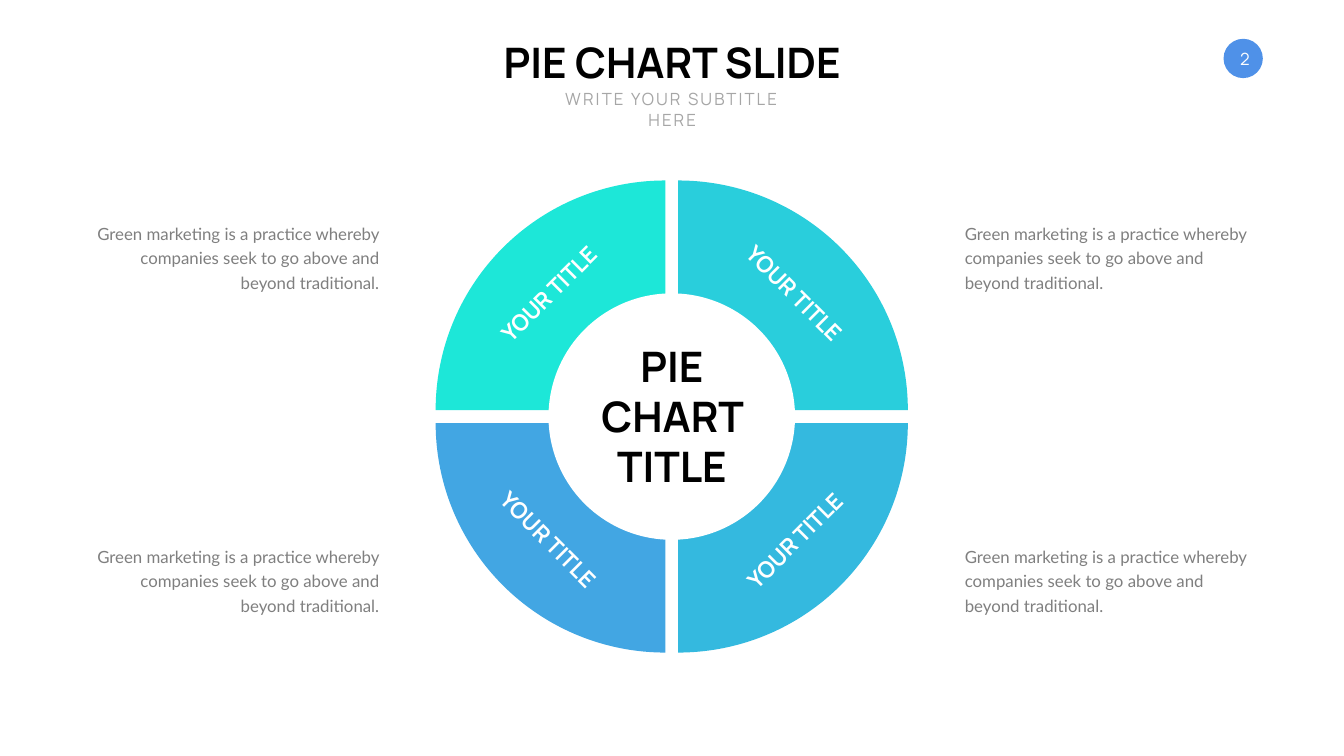
from dataclasses import dataclass
from typing import Optional

from lxml.etree import SubElement
from pptx import Presentation
from pptx.chart.data import CategoryChartData
from pptx.dml.color import RGBColor
from pptx.enum.chart import XL_CHART_TYPE
from pptx.enum.shapes import MSO_SHAPE
from pptx.enum.text import MSO_ANCHOR, MSO_AUTO_SIZE, PP_ALIGN
from pptx.oxml import parse_xml
from pptx.oxml.ns import nsdecls, qn
from pptx.util import Emu, Pt

EMU_PER_PX = 9144
BLACK = RGBColor(0x00, 0x00, 0x00)
WHITE = RGBColor(0xFF, 0xFF, 0xFF)
GREY = RGBColor(0x7F, 0x7F, 0x7F)
LIGHT_GREY = RGBColor(0xA6, 0xA6, 0xA6)
BADGE_BLUE = RGBColor(0x4F, 0x91, 0xE8)
SERIES_BLUE = RGBColor(0x34, 0x84, 0xC9)
AQUA = RGBColor(0x29, 0xCE, 0xDC)
SKY = RGBColor(0x34, 0xB9, 0xDF)
AZURE = RGBColor(0x42, 0xA6, 0xE3)
TURQUOISE = RGBColor(0x1D, 0xE7, 0xD8)
SLICE_COLORS = (AQUA, SKY, AZURE, TURQUOISE)
DESCRIPTION = "Green marketing is a practice whereby companies seek to go above and beyond traditional."


@dataclass(frozen=True)
class Box:
    left: int
    top: int
    width: int
    height: int

    def emu(self) -> tuple:
        return tuple(px(v) for v in (self.left, self.top, self.width, self.height))


@dataclass(frozen=True)
class Quadrant:
    label: Box
    angle: int
    description: Box
    align: PP_ALIGN


QUADRANTS = [
    Quadrant(Box(label_left, label_top, 268, 64), angle, Box(text_left, text_top, 596, 152), align)
    for label_top, text_top, angles in ((550, 430, (315, 45)), (1039, 1071, (45, 315)))
    for label_left, text_left, align, angle in (
        (955, 166, PP_ALIGN.RIGHT, angles[0]),
        (1443, 1904, PP_ALIGN.LEFT, angles[1]),
    )
]


def px(length: int) -> Emu:
    return Emu(length * EMU_PER_PX)


def write(shape, text: str, *, size: int, color: RGBColor, font: str = "Manrope",
          bold: bool = False, align: PP_ALIGN = PP_ALIGN.CENTER,
          anchor: MSO_ANCHOR = MSO_ANCHOR.TOP, wrap: bool = True,
          leading: Optional[int] = None, tracking: int = 0, inset: Optional[int] = None) -> None:
    frame = shape.text_frame
    frame.word_wrap = wrap
    frame.auto_size = MSO_AUTO_SIZE.SHAPE_TO_FIT_TEXT
    frame.vertical_anchor = anchor
    if inset is not None:
        frame.margin_left = frame.margin_right = px(inset)
        frame.margin_top = frame.margin_bottom = px(inset)
    paragraph = frame.paragraphs[0]
    paragraph.alignment = align
    if leading:
        paragraph.line_spacing = Pt(leading)
    run = paragraph.add_run()
    run.text = text
    run.font.name = font
    run.font.size = Pt(size)
    run.font.bold = bold
    run.font.color.rgb = color
    if tracking:
        run._r.get_or_add_rPr().set("spc", str(tracking * 100))


def add_text(slide, box: Box, text: str, angle: int = 0, **text_format) -> None:
    caption = slide.shapes.add_textbox(*box.emu())
    caption.rotation = angle
    write(caption, text, **text_format)


def add_disc(slide, box: Box, color: RGBColor) -> None:
    disc = slide.shapes.add_shape(MSO_SHAPE.OVAL, *box.emu())
    disc.shadow.inherit = False
    disc.fill.solid()
    disc.fill.fore_color.rgb = color
    disc.line.fill.background()


def set_plot_layout(chart) -> None:
    plot_area = chart._chartSpace.find(".//" + qn("c:plotArea"))
    for previous in plot_area.findall(qn("c:layout")):
        plot_area.remove(previous)
    layout = parse_xml(f"<c:layout {nsdecls('c')}/>")
    manual = SubElement(layout, qn("c:manualLayout"))
    for tag, value in (("layoutTarget", "inner"), ("xMode", "edge"), ("yMode", "edge"),
                       ("x", "0.005"), ("y", "0.005"), ("w", "0.99"), ("h", "0.99")):
        SubElement(manual, qn(f"c:{tag}")).set("val", value)
    plot_area.insert(0, layout)


def add_pie(slide, box: Box) -> None:
    shares = CategoryChartData()
    shares.categories = ["1", "2", "3", "4"]
    shares.add_series("Series 1", [25] * len(SLICE_COLORS))
    chart = slide.shapes.add_chart(XL_CHART_TYPE.PIE, *box.emu(), shares).chart
    chart.has_title = False
    chart.has_legend = False
    chart.font.name = "Calibri"
    chart.font.size = Pt(10)
    chart.font.color.rgb = GREY
    pie = chart.plots[0]
    pie.vary_by_categories = True
    series = pie.series[0]
    series.format.fill.solid()
    series.format.fill.fore_color.rgb = SERIES_BLUE
    for index, color in enumerate(SLICE_COLORS):
        slice_format = series.points[index].format
        slice_format.fill.solid()
        slice_format.fill.fore_color.rgb = color
        slice_format.line.fill.background()
    explosion = parse_xml(f'<c:explosion {nsdecls("c")} val="4"/>')
    series._element.find(qn("c:dPt")).addprevious(explosion)
    set_plot_layout(chart)


def main() -> None:
    """Build the pie chart slide and save it."""
    deck = Presentation()
    deck.slide_width, deck.slide_height = px(2666), px(1500)
    slide = deck.slides.add_slide(deck.slide_layouts[5])

    add_disc(slide, Box(2427, 77, 78, 78), BADGE_BLUE)
    add_text(slide, Box(2435, 83, 69, 69), "2", size=24, color=WHITE,
             anchor=MSO_ANCHOR.MIDDLE, wrap=False, inset=0)

    add_pie(slide, Box(854, 348, 957, 957))
    add_disc(slide, Box(1088, 582, 489, 489), WHITE)

    heading = slide.shapes.title
    heading.left, heading.top, heading.width, heading.height = Box(986, 67, 695, 111).emu()
    write(heading, "PIE CHART SLIDE", size=60, color=BLACK, bold=True, wrap=False)
    add_text(slide, Box(1062, 172, 543, 50), "WRITE YOUR SUBTITLE HERE",
             size=24, color=LIGHT_GREY, tracking=3)

    add_text(slide, Box(1139, 670, 388, 313), "PIE CHART TITLE", size=60, color=BLACK, bold=True)
    for quadrant in QUADRANTS:
        add_text(slide, quadrant.description, DESCRIPTION, size=24, color=GREY,
                 font="Lato", align=quadrant.align, leading=35)
        add_text(slide, quadrant.label, "YOUR TITLE", angle=quadrant.angle, size=32, color=WHITE,
                 bold=True, align=PP_ALIGN.LEFT, anchor=MSO_ANCHOR.MIDDLE, wrap=False)

    deck.save("out.pptx")


if __name__ == "__main__":
    main()
